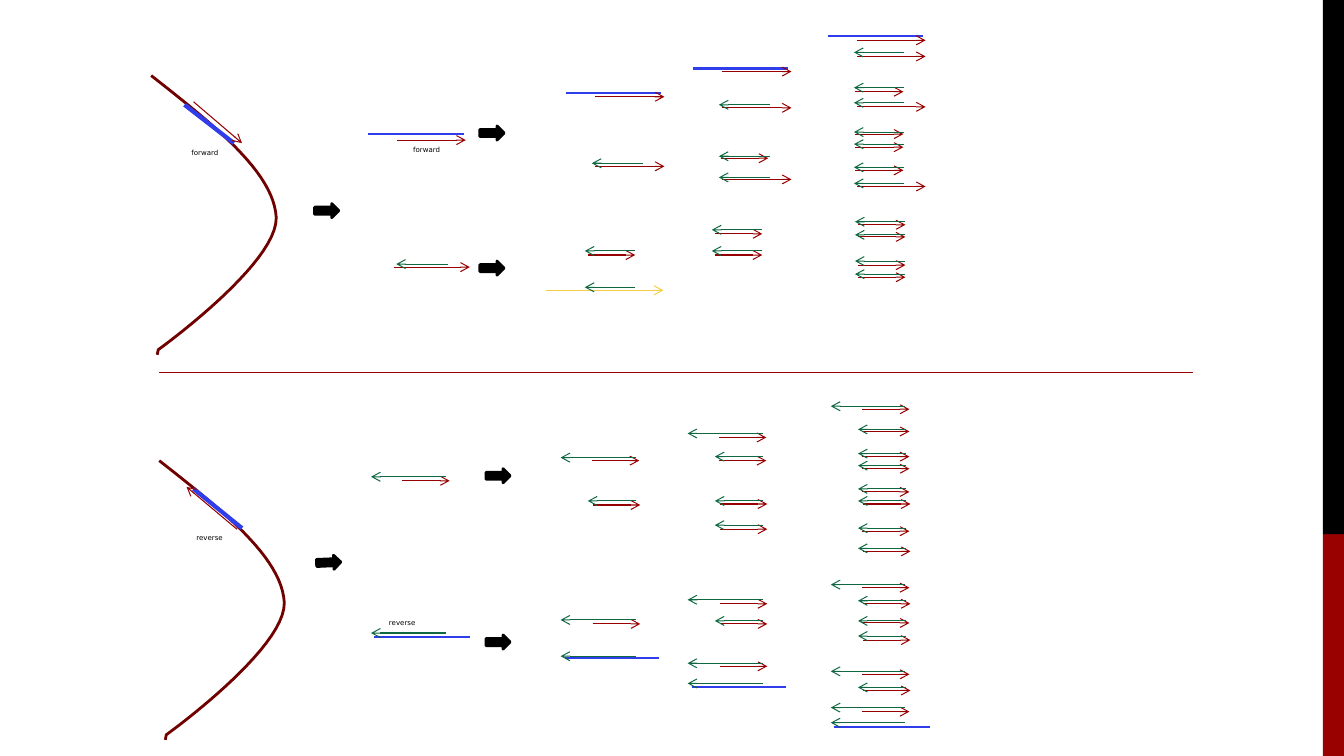
from lxml.etree import SubElement
from pptx import Presentation
from pptx.dml.color import RGBColor
from pptx.enum.shapes import MSO_CONNECTOR, MSO_SHAPE
from pptx.enum.text import MSO_AUTO_SIZE, PP_ALIGN
from pptx.oxml.ns import qn
from pptx.util import Inches, Pt

COLORS = {
    "black": "000000",
    "sidebar": "990000",
    "template": "710000",
    "red": "960000",
    "green": "0F6841",
    "blue": "2F3EEA",
    "yellow": "F5CE47",
}

prs = Presentation()
prs.slide_width, prs.slide_height = Inches(13.33), Inches(7.5)
slide = prs.slides.add_slide(prs.slide_layouts[6])
shapes = slide.shapes


def add_strand(color, x1, y1, x2, y2, width=0.75, arrow=True):
    strand = shapes.add_connector(
        MSO_CONNECTOR.STRAIGHT, Inches(x1), Inches(y1), Inches(x2), Inches(y2))
    strand.line.color.rgb = RGBColor.from_string(COLORS[color])
    strand.line.width = Pt(width)
    if arrow:
        SubElement(strand.line._get_or_add_ln(), qn("a:tailEnd"), type="arrow")
    SubElement(strand._element.spPr, qn("a:effectLst"))


def add_block(kind, color, left, top, width, height):
    block = shapes.add_shape(
        kind, Inches(left), Inches(top), Inches(width), Inches(height))
    block.shadow.inherit = False
    block.fill.solid()
    block.fill.fore_color.rgb = RGBColor.from_string(COLORS[color])
    block.line.fill.background()
    return block


# Sidebar
add_block(MSO_SHAPE.RECTANGLE, "sidebar", 13.12, 5.3, 0.21, 2.2)
add_block(MSO_SHAPE.RECTANGLE, "black", 13.12, 0, 0.21, 5.3)

# Divider between the forward and reverse halves
add_strand("red", 1.58, 3.7, 11.83, 3.7, arrow=False)

# Curved template strands, the lower one shifted from the upper one
bends = [
    [(1.5, 0.75), (2.11, 1.23), (2.72, 1.71), (2.74, 2.16)],
    [(2.74, 2.16), (2.75, 2.62), (1.57, 3.47), (1.57, 3.47)],
]
STEPS = 24
curve = [bends[0][0]]
for bend in bends:
    for step in range(1, STEPS + 1):
        t = step / STEPS
        weights = ((1 - t) ** 3, 3 * t * (1 - t) ** 2, 3 * t * t * (1 - t), t ** 3)
        curve.append(tuple(
            sum(w * point[axis] for w, point in zip(weights, bend)) for axis in (0, 1)))
curve.append((1.56, 3.52))
for dx, dy in [(0, 0), (0.08, 3.82)]:
    points = [(Inches(x + dx), Inches(y + dy)) for x, y in curve]
    outline = shapes.build_freeform(*points[0])
    outline.add_line_segments(points[1:], close=False)
    template = outline.convert_to_shape()
    template.shadow.inherit = False
    template.fill.background()
    template.line.color.rgb = RGBColor.from_string(COLORS["template"])
    template.line.width = Pt(2)

# Target regions and primers on the curves
add_strand("blue", 1.83, 1.04, 2.32, 1.42, 3, arrow=False)
add_strand("blue", 1.92, 4.85, 2.4, 5.24, 3, arrow=False)
add_strand("red", 1.92, 1.01, 2.4, 1.42)
add_strand("red", 2.35, 5.25, 1.85, 4.83)

# Step arrows: left, top, rotation
for left, top, rotation in [
    (3.12, 2.02, 0), (3.14, 5.51, 357.5),
    (4.76, 1.25, 0), (4.76, 2.59, 0),
    (4.82, 4.65, 0), (4.82, 6.3, 0),
]:
    step_arrow = add_block(MSO_SHAPE.RIGHT_ARROW, "black", left, top, 0.24, 0.14)
    step_arrow.rotation = rotation
    step_arrow.line.color.rgb = RGBColor.from_string(COLORS["black"])
    step_arrow.line.width = Pt(2)

# Original strands: start, end, height
for start, end, y in [
    (3.65, 4.6, 1.33), (5.61, 6.56, 0.92), (6.87, 7.82, 0.68), (8.21, 9.15, 0.36),
    (3.71, 4.66, 6.32), (5.6, 6.54, 6.53), (6.86, 7.8, 6.82), (8.27, 9.22, 7.21),
]:
    add_strand("blue", start, y, end, y, 1.5, arrow=False)

# Copied strands, cycle by cycle: colour, start, end, heights
copies = [
    # First cycle
    ("red", 3.94, 4.62, [1.39]),
    ("red", 3.91, 4.66, [2.65]),
    ("green", 4.44, 3.93, [2.62]),
    ("red", 3.99, 4.46, [4.77]),
    ("green", 4.42, 3.68, [4.73, 6.28]),
    # Second cycle
    ("red", 5.9, 6.59, [0.96, 1.65]),
    ("green", 6.38, 5.87, [1.62]),
    ("red", 5.83, 6.3, [2.53]),
    ("yellow", 5.42, 6.58, [2.88]),
    ("green", 6.3, 5.8, [2.49, 2.85]),
    ("red", 5.87, 6.34, [4.57]),
    ("red", 5.88, 6.35, [5.01, 6.19]),
    ("green", 6.31, 5.83, [4.97]),
    ("green", 6.31, 5.56, [4.54, 6.15, 6.51]),
    # Third cycle
    ("red", 7.16, 7.85, [0.71, 1.07, 1.78]),
    ("red", 7.15, 7.62, [1.57]),
    ("green", 7.64, 7.13, [1.04, 1.55, 1.76]),
    ("red", 7.09, 7.56, [2.32, 2.53]),
    ("green", 7.56, 7.06, [2.28, 2.49]),
    ("red", 7.13, 7.6, [4.34, 4.57]),
    ("red", 7.14, 7.61, [5, 5.25, 5.99, 6.19, 6.61]),
    ("green", 7.57, 7.09, [4.53, 4.97, 5.21, 6.16]),
    ("green", 7.57, 6.82, [4.3, 5.95, 6.58, 6.78]),
    # Fourth cycle
    ("red", 8.5, 9.18, [0.4, 0.56, 1.06, 1.85]),
    ("red", 8.48, 8.96, [0.91, 1.33, 1.46, 1.69]),
    ("green", 8.97, 8.47, [0.52, 0.87, 1.02, 1.31, 1.43, 1.66, 1.82]),
    ("red", 8.51, 8.98, [2.23, 2.35, 2.63, 2.75]),
    ("green", 8.98, 8.48, [2.2, 2.33, 2.59, 2.72]),
    ("red", 8.55, 9.02, [4.06, 4.28, 4.53, 4.65, 4.88, 5.27, 5.83, 6.18, 6.69, 7.06]),
    ("red", 8.56, 9.03, [5, 5.47, 5.99, 6.35, 6.85]),
    ("green", 8.99, 8.51,
     [4.26, 4.5, 4.62, 4.85, 4.97, 5.24, 5.44, 5.96, 6.16, 6.31, 6.82]),
    ("green", 8.98, 8.24, [4.03, 5.8, 6.66, 7.02, 7.17]),
]
for color, start, end, heights in copies:
    for y in heights:
        add_strand(color, start, y, end, y)

# Primer labels
for wording, left, top in [
    ("forward", 1.8, 1.42), ("forward", 4, 1.39),
    ("reverse", 1.85, 5.24), ("reverse", 3.76, 6.09),
]:
    label = shapes.add_textbox(Inches(left), Inches(top), Inches(0.7), Inches(0.19))
    frame = label.text_frame
    frame.word_wrap = True
    frame.auto_size = MSO_AUTO_SIZE.SHAPE_TO_FIT_TEXT
    paragraph = frame.paragraphs[0]
    paragraph.alignment = PP_ALIGN.LEFT
    run = paragraph.add_run()
    run.text = wording
    run.font.size = Pt(5)
    run.font.name = "DejaVu Sans"
    run.font.color.rgb = RGBColor.from_string(COLORS["black"])

prs.save("out.pptx")
